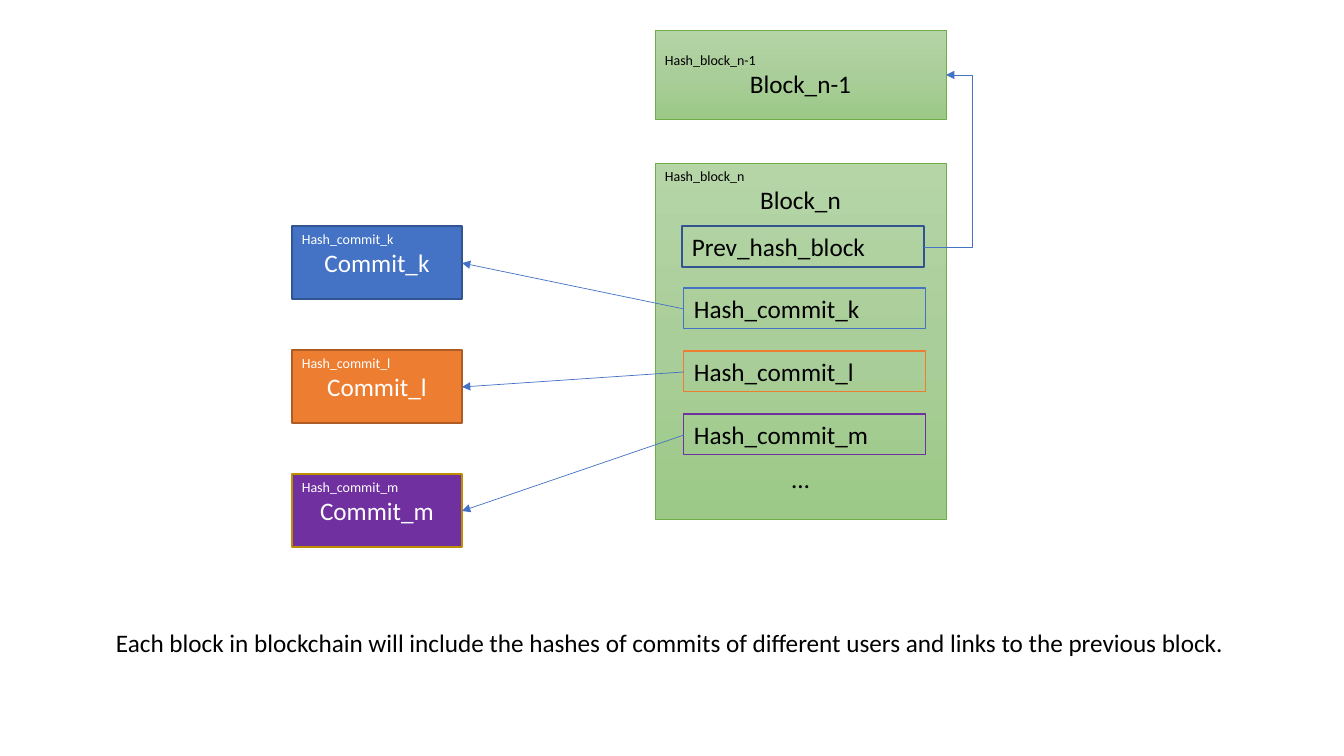
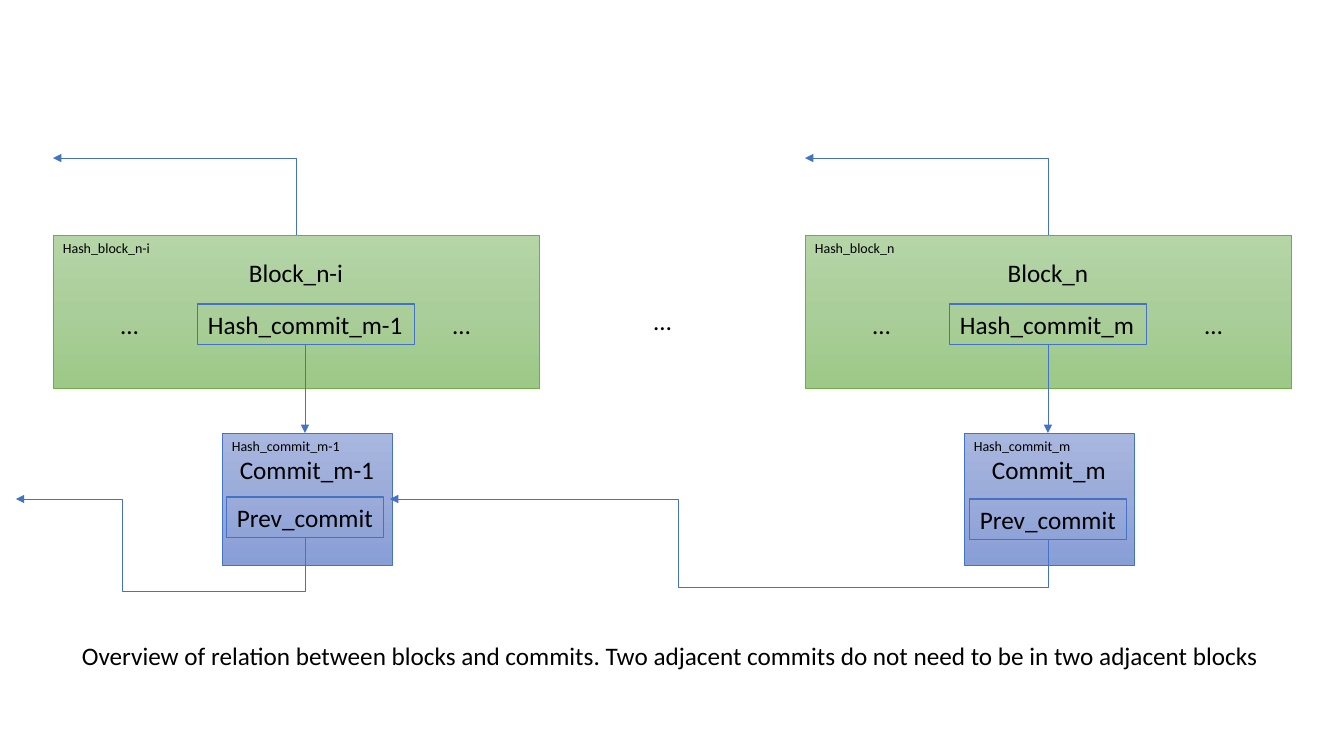
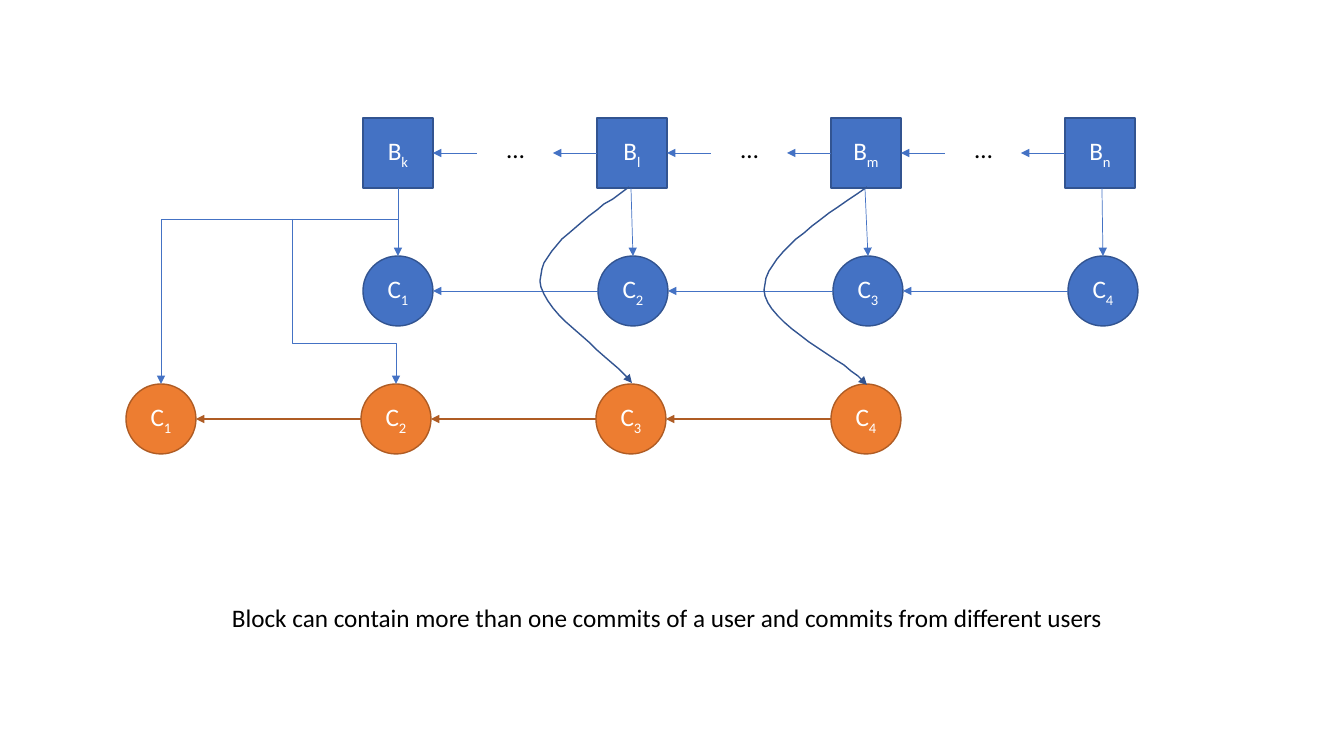
from copy import deepcopy

from lxml.etree import SubElement
from pptx import Presentation
from pptx.dml.color import RGBColor
from pptx.enum.shapes import MSO_CONNECTOR, MSO_SHAPE
from pptx.enum.text import MSO_ANCHOR, MSO_AUTO_SIZE, PP_ALIGN
from pptx.oxml.ns import qn
from pptx.util import Pt

PX = 914400 / 100.8
FONT, SMALL, BODY = "Calibri", 10, 18
BLACK, WHITE = "000000", "FFFFFF"
BLUE, NAVY = "4472C4", "325491"
ORANGE, RUST = "ED7D31", "AF5C24"
PURPLE, GOLD, GREEN = "7030A0", "BD8E00", "70AD47"
GREEN_FADE = ("B5D5A7", "AACE9A", "9CC987")
BLUE_FADE = ("A8B7DF", "9AABD9", "889ED7")


def emu(*pixels):
    return [round(p * PX) for p in pixels]


def rgb(value):
    return RGBColor.from_string(value)


def put(target, values):
    for name, value in values.items():
        setattr(target, name, value)


def bezier(p0, p1, p2, p3, steps=16):
    """Points along a cubic curve, without its first point."""
    return [tuple((1 - t) ** 3 * a + 3 * (1 - t) ** 2 * t * b
                  + 3 * (1 - t) * t ** 2 * c + t ** 3 * d
                  for a, b, c, d in zip(p0, p1, p2, p3))
            for t in (n / steps for n in range(1, steps + 1))]


class Deck:
    def __init__(self):
        self.prs = Presentation()
        self.prs.slide_width, self.prs.slide_height = emu(1344, 756)

    def slide(self):
        self.s = self.prs.slides.add_slide(self.prs.slide_layouts[6])

    def outline(self, sp, color, width, arrow=False):
        sp.line.width = Pt(width)
        sp.line.fill.solid()
        sp.line.fill.fore_color.rgb = rgb(color)
        if arrow:
            ln = sp._element.spPr.find(qn("a:ln"))
            SubElement(ln, qn("a:tailEnd"), type="triangle")

    def fill(self, sp, color):
        if isinstance(color, str):
            sp.fill.solid()
            sp.fill.fore_color.rgb = rgb(color)
            return
        sp.fill.gradient()
        sp.fill.gradient_angle = 270
        stops = sp._element.spPr.find(".//" + qn("a:gsLst"))
        stops.insert(1, deepcopy(stops[0]))
        for stop, shade, position in zip(sp.fill.gradient_stops, color, (0, 0.5, 1)):
            stop.position = position
            stop.color.rgb = rgb(shade)

    def label(self, sp, lines, color, **frame):
        """Each line is (text, size, alignment, subscript)."""
        tf = sp.text_frame
        put(tf, {"word_wrap": True, "vertical_anchor": MSO_ANCHOR.TOP, **frame})
        for n, (text, size, align, sub) in enumerate(lines):
            p = tf.add_paragraph() if n else tf.paragraphs[0]
            p.alignment = align
            for part in filter(None, (text, sub)):
                r = p.add_run()
                r.text = part
                put(r.font, {"name": FONT, "size": Pt(size)})
                r.font.color.rgb = rgb(color)
            if sub:
                r._r.get_or_add_rPr().set("baseline", "-25000")

    def shape(self, kind, box, fill, line, width):
        sp = self.s.shapes.add_shape(kind, *emu(*box))
        sp.shadow.inherit = False
        self.fill(sp, fill)
        self.outline(sp, line, width)
        return sp

    def card(self, box, tag, name, fill, line, width=0.5, color=BLACK, **frame):
        sp = self.shape(MSO_SHAPE.RECTANGLE, box, fill, line, width)
        self.label(sp, [(tag, SMALL, PP_ALIGN.LEFT, ""),
                        (name, BODY, PP_ALIGN.CENTER, "")], color, **frame)

    def node(self, kind, x, y, letter, sub, fill, line):
        sp = self.shape(kind, (x, y, 70, 70), fill, line, 1)
        self.label(sp, [(letter, BODY, PP_ALIGN.CENTER, sub)], WHITE,
                   vertical_anchor=MSO_ANCHOR.MIDDLE)

    def text(self, x, y, w, text, line=None, width=0.75, wrap=False):
        sp = self.s.shapes.add_textbox(*emu(x, y, w, 41))
        self.label(sp, [(text, BODY, PP_ALIGN.LEFT, "")], BLACK, word_wrap=wrap,
                   auto_size=MSO_AUTO_SIZE.SHAPE_TO_FIT_TEXT)
        if line:
            self.outline(sp, line, width)

    def dots(self, x, y):
        self.text(x, y, 38, "…")

    def arrow(self, start, end, color=BLUE, width=0.5, kind=MSO_CONNECTOR.STRAIGHT):
        cxn = self.s.shapes.add_connector(kind, *emu(*start, *end))
        self.outline(cxn, color, width, arrow=True)
        SubElement(cxn._element.spPr, qn("a:effectLst"))
        return cxn

    def elbow(self, start, end, *bends, upright=False):
        """Bends are the y or x values of the inner legs; upright leaves vertically."""
        cxn = self.arrow(start, end, kind=MSO_CONNECTOR.ELBOW)
        geom = cxn._element.spPr.find(qn("a:prstGeom"))
        geom.set("prst", f"bentConnector{2 + len(bends)}")
        guides = geom.find(qn("a:avLst"))
        if guides is None:
            guides = SubElement(geom, qn("a:avLst"))
        axes = (1, 0) if upright else (0, 1)
        for n, (bend, axis) in enumerate(zip(bends, axes), 1):
            ratio = (bend - start[axis]) / (end[axis] - start[axis])
            SubElement(guides, qn("a:gd"), name=f"adj{n}",
                       fmla=f"val {round(ratio * 100000)}")
        if upright:
            dx, dy = end[0] - start[0], end[1] - start[1]
            w, h = abs(dy), abs(dx)
            left, top, w, h = emu((start[0] + end[0] - w) / 2,
                                  (start[1] + end[1] - h) / 2, w, h)
            put(cxn, {"left": left, "top": top, "width": w, "height": h})
            xfrm = cxn._element.spPr.find(qn("a:xfrm"))
            for name, value in {"rot": 5400000, "flipH": int(dy < 0),
                                "flipV": int(dx > 0)}.items():
                xfrm.set(name, str(value))

    def curve(self, start, *segments):
        points = [start]
        for segment in segments:
            points += bezier(points[-1], *segment)
        pen = self.s.shapes.build_freeform(*start, scale=PX)
        pen.add_line_segments(points[1:], close=False)
        sp = pen.convert_to_shape()
        sp.shadow.inherit = False
        sp.fill.background()
        self.outline(sp, NAVY, 1, arrow=True)


deck = Deck()

# Slide 1: a block holds commit hashes and the previous block's hash
deck.slide()
deck.card((655, 163, 291, 356), "Hash_block_n", "Block_n", GREEN_FADE, GREEN)
deck.card((655, 30, 291, 89), "Hash_block_n-1", "Block_n-1", GREEN_FADE, GREEN,
          vertical_anchor=MSO_ANCHOR.MIDDLE)
commits = [("k", BLUE, NAVY, BLUE), ("l", ORANGE, RUST, ORANGE),
           ("m", PURPLE, GOLD, PURPLE)]
for i, (key, fill, border, field) in enumerate(commits):
    deck.card((292, 226 + 124 * i, 170, 73), f"Hash_commit_{key}", f"Commit_{key}",
              fill, border, 1, WHITE)
    deck.text(684, 288 + 63 * i, 242, f"Hash_commit_{key}", field, wrap=True)
    deck.arrow((684, 309 + 63 * i), (462, 263 + 124 * i))
deck.dots(782, 458)
deck.text(682, 226, 242, "Prev_hash_block", NAVY, 1, wrap=True)
deck.elbow((924, 247), (946, 75), 972)
deck.text(106, 622, 1132, "Each block in blockchain will include the hashes of commits "
          "of different users and links to the previous block.")

# Slide 2: two blocks, each with a commit that links to the one before
deck.slide()
columns = [
    # block x and key, commit x and key, field x and width, previous x and y,
    # arrow x, link target and bends
    (53, "n-i", 222, "m-1", 198, 217, 227, 497, 305, (16, 499), (591, 122)),
    (805, "n", 964, "m", 950, 197, 970, 499, 1048, (390, 499), (587, 679)),
]
for (block_x, block, commit_x, commit, field_x, field_w,
     prev_x, prev_y, axis, target, bends) in columns:
    deck.card((block_x, 235, 486, 153), f"Hash_block_{block}", f"Block_{block}",
              GREEN_FADE, GREEN)
    deck.text(field_x, 304, field_w, f"Hash_commit_{commit}", BLUE)
    for offset in (58, 390):
        deck.dots(block_x + offset, 304)
    deck.card((commit_x, 433, 170, 132), f"Hash_commit_{commit}", f"Commit_{commit}",
              BLUE_FADE, BLUE)
    deck.text(prev_x, prev_y, 157, "Prev_commit", BLUE)
    deck.arrow((axis, 345), (axis, 433))
    deck.elbow((block_x + 243, 235), (block_x, 158), upright=True)
    deck.elbow((axis, prev_y + 41), target, *bends, upright=True)
deck.dots(644, 300)
deck.text(72, 635, 1200, "Overview of relation between blocks and commits. "
          "Two adjacent commits do not need to be in two adjacent blocks")

# Slide 3: a chain of blocks above the commit chains of two users
deck.slide()
for i, (key, axis) in enumerate(zip("klmn", (398, 631, 865, 1102))):
    block_x, blue_x, orange_x = 363 + 234 * i, 363 + 235 * i, 126 + 235 * i
    deck.node(MSO_SHAPE.RECTANGLE, block_x, 118, "B", key, BLUE, NAVY)
    deck.node(MSO_SHAPE.OVAL, blue_x, 256, "C", str(i + 1), BLUE, NAVY)
    deck.node(MSO_SHAPE.OVAL, orange_x, 384, "C", str(i + 1), ORANGE, RUST)
    deck.arrow((axis, 188), (blue_x + 35, 256))
    if i:
        deck.arrow((block_x, 153), (block_x - 44, 153))
        deck.arrow((block_x - 120, 153), (block_x - 164, 153))
        deck.dots(block_x - 100, 128)
        deck.arrow((blue_x, 291), (blue_x - 165, 291))
        deck.arrow((orange_x, 419), (orange_x - 165, 419), RUST, 1)

# Links from blocks to the second user's commits
deck.elbow((398, 188), (161, 384), 219, upright=True)
deck.elbow((292, 219), (396, 384), 343, upright=True)
deck.curve((629, 187), ((585, 218), (540, 249), (540, 281)),
           ((541, 314), (619, 362), (632, 383)))
deck.curve((867, 187), ((815, 222), (764, 257), (764, 290)),
           ((764, 324), (850, 362), (867, 385)))
deck.text(222, 597, 901, "Block can contain more than one commits of a user "
          "and commits from different users")

deck.prs.save("out.pptx")
